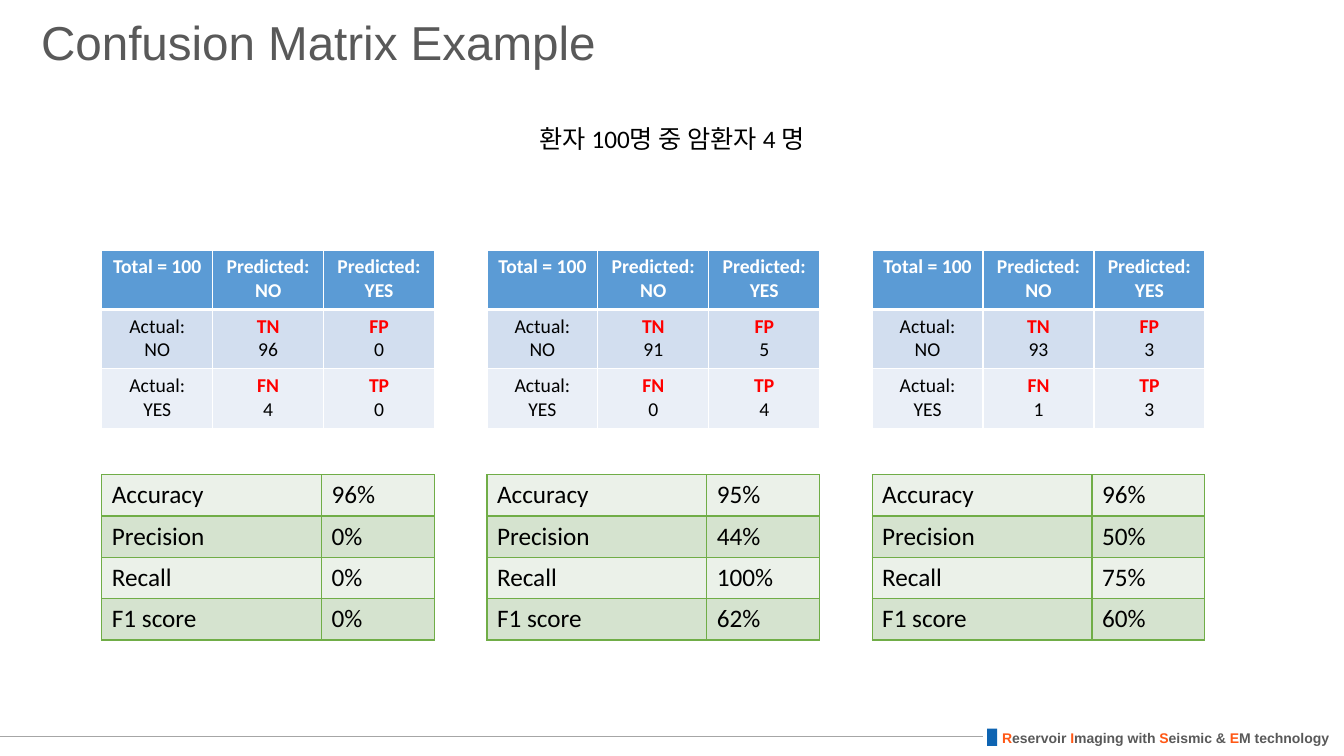
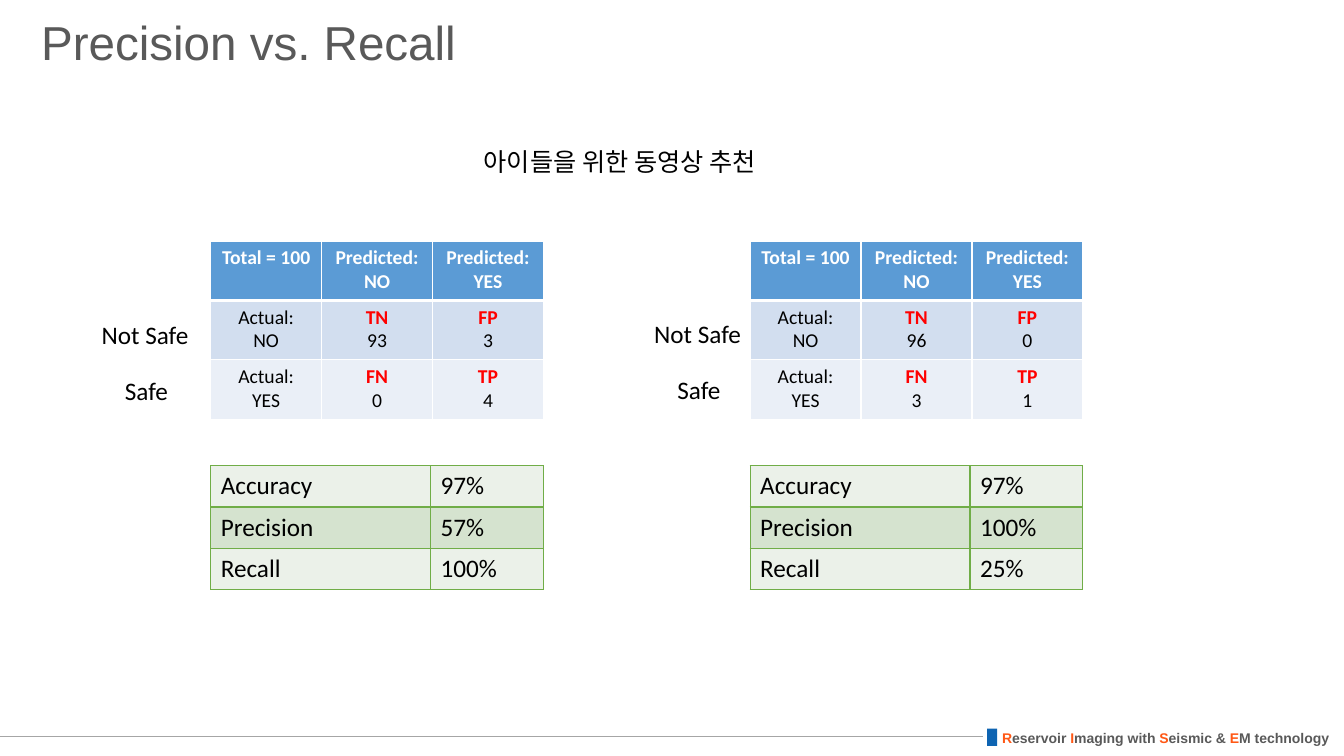
import pptx
import pptx.util
import pptx.dml.color
import pptx.enum.shapes
import pptx.enum.text
import pptx.oxml
import pptx.oxml.ns

Inches = pptx.util.Inches
Pt = pptx.util.Pt
ALIGN = pptx.enum.text.PP_ALIGN
ANCHOR = pptx.enum.text.MSO_ANCHOR

COLORS = {
    "grey": "595959", "orange": "FF5815", "rule": "A6A6A6", "marker": "0E64B2",
    "black": "000000", "white": "FFFFFF", "red": "FF0000", "header": "5B9BD5",
    "blue_dark": "D2DEEF", "blue_light": "EAEFF7",
    "green": "70AD47", "green_light": "EBF1E9", "green_dark": "D5E3CF",
}
FOOTER = [("R", "orange"), ("eservoir ", "grey"), ("I", "orange"), ("maging with ", "grey"),
          ("S", "orange"), ("eismic & ", "grey"), ("E", "orange"), ("M technology", "grey")]


def rgb(name):
    """Return the named colour."""
    return pptx.dml.color.RGBColor.from_string(COLORS[name])


def style_run(r, size, color, font="Calibri", bold=False):
    """Format one run."""
    r.font.name, r.font.size, r.font.bold = font, Pt(size), bold
    r.font.color.rgb = rgb(color)


def add_text(s, text, left, top, width, height, size=18, color="black", font="Calibri", align=ALIGN.LEFT):
    """Add a wrapped one-paragraph text box and return its frame."""
    tf = s.shapes.add_textbox(Inches(left), Inches(top), Inches(width), Inches(height)).text_frame
    tf.word_wrap = True
    tf.text = text
    p = tf.paragraphs[0]
    p.alignment = align
    style_run(p.runs[0], size, color, font)
    return tf


def add_title(s, text):
    """Add the slide title."""
    tf = add_text(s, text, 0.31, 0, 11.5, 0.89, 34, "grey", "Arial")
    tf.vertical_anchor = ANCHOR.MIDDLE
    tf.paragraphs[0].line_spacing = 0.9


def add_footer(s):
    """Add the footer rule, marker and two-colour name."""
    tf = s.shapes.add_textbox(Inches(9.84), Inches(7.19), Inches(3.48), Inches(0.27)).text_frame
    tf.word_wrap = False
    for text, color in FOOTER:
        r = tf.paragraphs[0].add_run()
        r.text = text
        style_run(r, 10, color, "Arial", True)
    rule = s.shapes.add_connector(pptx.enum.shapes.MSO_CONNECTOR.STRAIGHT,
                                  Inches(9.75), Inches(7.31), Inches(0), Inches(7.31))
    rule.line.color.rgb = rgb("rule")
    rule.line.width = Pt(0.5)
    rule._element.spPr.append(pptx.oxml.parse_xml(
        f'<a:effectLst {pptx.oxml.ns.nsdecls("a")}/>'))
    marker = s.shapes.add_shape(pptx.enum.shapes.MSO_SHAPE.RECTANGLE,
                                Inches(9.79), Inches(7.23), Inches(0.1), Inches(0.17))
    marker.shadow.inherit = False
    marker.fill.solid()
    marker.fill.fore_color.rgb = rgb("marker")
    marker.line.fill.background()


def set_cell(cell, text, fill, border, widths=(1, 1, 1, 1)):
    """Fill a cell with text, colour and left, right, top and bottom borders."""
    cell.text_frame.text = text
    cell.fill.solid()
    cell.fill.fore_color.rgb = rgb(fill)
    tcPr = cell._tc.get_or_add_tcPr()
    for i, (side, width) in enumerate(zip("LRTB", widths)):
        tcPr.insert(i, pptx.oxml.parse_xml(
            f'<a:ln{side} {pptx.oxml.ns.nsdecls("a")} w="{Pt(width)}"><a:solidFill>'
            f'<a:srgbClr val="{COLORS[border]}"/></a:solidFill></a:ln{side}>'))


def add_table(s, left, top, widths, row_height, rows):
    """Add an unstyled table with the given column widths."""
    table = s.shapes.add_table(rows, len(widths), Inches(left), Inches(top),
                               Inches(sum(widths)), Inches(row_height * rows)).table
    table.first_row = table.horz_banding = False
    for column, width in zip(table.columns, widths):
        column.width = Inches(width)
    for row in table.rows:
        row.height = Inches(row_height)
    return table


def add_confusion_matrix(s, left, top, counts):
    """Add a two-class confusion matrix for the counts TN, FP, FN and TP."""
    tn, fp, fn, tp = counts
    rows = [("Total = 100", "Predicted:\nNO", "Predicted:\nYES"),
            ("Actual:\nNO", f"TN\n{tn}", f"FP\n{fp}"),
            ("Actual:\nYES", f"FN\n{fn}", f"TP\n{tp}")]
    fills = ("header", "blue_dark", "blue_light")
    borders = ((1, 1, 1, 3), (1, 1, 3, 1), (1, 1, 1, 1))
    table = add_table(s, left, top, [1.1] * 3, 0.59, 3)
    for i, row in enumerate(rows):
        for j, text in enumerate(row):
            cell = table.cell(i, j)
            set_cell(cell, text, fills[i], "white", borders[i])
            for k, p in enumerate(cell.text_frame.paragraphs):
                p.alignment = ALIGN.CENTER
                is_key = i > 0 and j > 0 and k == 0
                color = "white" if i == 0 else "red" if is_key else "black"
                style_run(p.runs[0], 14, color, bold=i == 0 or is_key)


def ratio(part, whole):
    """Return a share, taken as zero when the whole is empty."""
    return part / whole if whole else 0


def add_metrics(s, left, top, counts, rows):
    """Add the first rows of the scores that follow from the counts."""
    tn, fp, fn, tp = counts
    scores = [("Accuracy", ratio(tn + tp, sum(counts))), ("Precision", ratio(tp, tp + fp)),
              ("Recall", ratio(tp, tp + fn)), ("F1 score", ratio(2 * tp, 2 * tp + fp + fn))]
    table = add_table(s, left, top, [2.18, 1.12], 0.41, rows)
    for i, (name, score) in enumerate(scores[:rows]):
        for j, text in enumerate((name, f"{score:.0%}")):
            cell = table.cell(i, j)
            set_cell(cell, text, ("green_light", "green_dark")[i % 2], "green")
            style_run(cell.text_frame.paragraphs[0].runs[0], 18, "black")


def add_models(s, left, top, step, models, metric_rows):
    """Add a row of models, each a matrix above its scores."""
    for i, counts in enumerate(models):
        x = left + i * step
        add_confusion_matrix(s, x, top, counts)
        add_metrics(s, x, top + 2.23, counts, metric_rows)


def add_class_labels(s, left, top):
    """Add the class names beside a matrix."""
    add_text(s, "Not Safe", left, top, 1.26, 0.4)
    add_text(s, "Safe", left + 0.23, top + 0.55, 1.26, 0.4)


def add_slide(prs, title):
    """Add a blank slide with the shared title and footer."""
    s = prs.slides.add_slide(prs.slide_layouts[6])
    add_footer(s)
    add_title(s, title)
    return s


def build_example(prs):
    """Build the slide with three example classifiers."""
    s = add_slide(prs, "Confusion Matrix Example")
    add_text(s, "환자 100명 중 암환자 4 명", 0, 1.17, 13.33, 1.31, align=ALIGN.CENTER)
    add_models(s, 1.01, 2.48, 3.82, [(96, 0, 4, 0), (91, 5, 0, 4), (93, 3, 1, 3)], 4)


def build_comparison(prs):
    """Build the slide comparing precision with recall."""
    s = add_slide(prs, "Precision vs. Recall")
    add_models(s, 2.09, 2.39, 5.35, [(93, 3, 0, 4), (96, 0, 3, 1)], 3)
    add_text(s, "아이들을 위한 동영상 추천", 4.7, 1.4, 5.48, 0.4)
    for left, top in ((0.91, 3.12), (6.39, 3.11)):
        add_class_labels(s, left, top)


def main():
    """Build and save the presentation."""
    prs = pptx.Presentation()
    prs.slide_width, prs.slide_height = Inches(13.33), Inches(7.5)
    build_example(prs)
    build_comparison(prs)
    prs.save("out.pptx")


if __name__ == "__main__":
    main()
